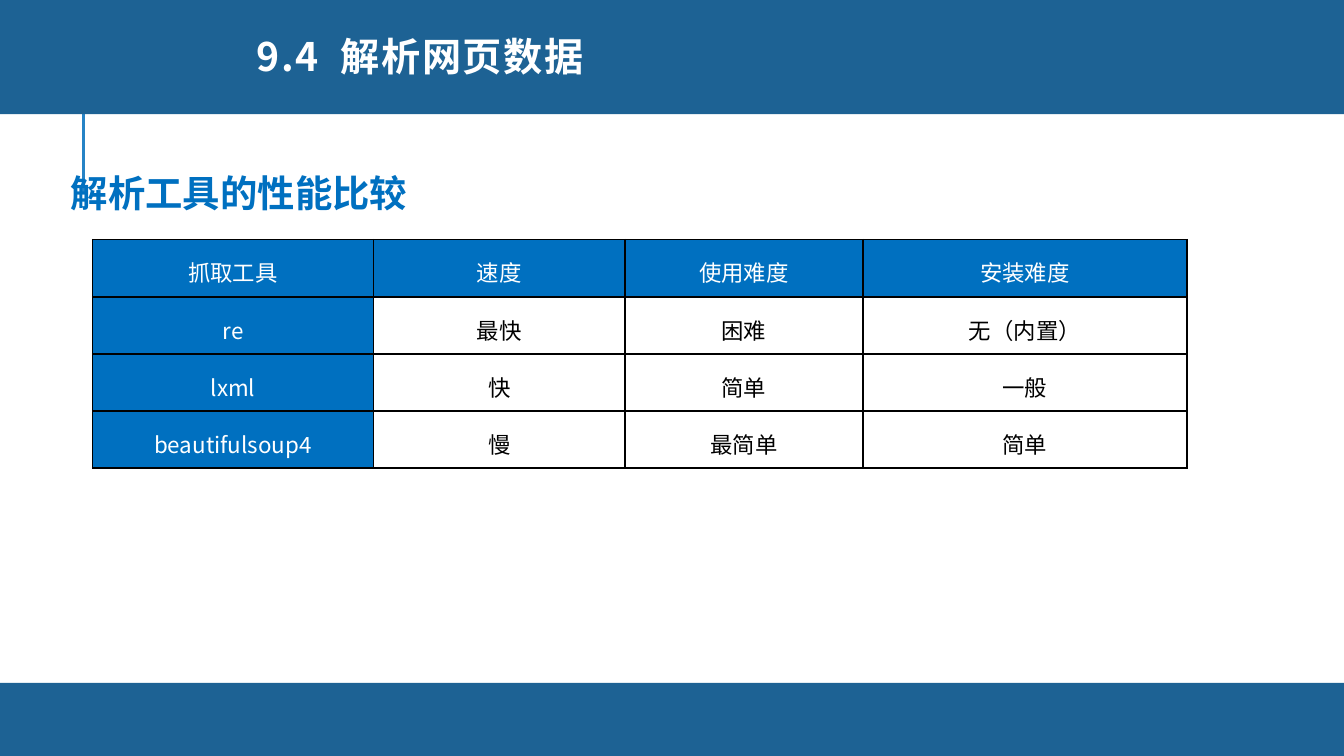
from lxml import etree
from pptx import Presentation
from pptx.dml.color import RGBColor
from pptx.enum.shapes import MSO_CONNECTOR, MSO_SHAPE
from pptx.enum.text import MSO_ANCHOR, MSO_AUTO_SIZE, PP_ALIGN
from pptx.oxml import parse_xml
from pptx.oxml.ns import nsdecls, qn
from pptx.util import Cm, Pt

STRAIGHT = MSO_CONNECTOR.STRAIGHT
RECT = MSO_SHAPE.RECTANGLE
MIDDLE = MSO_ANCHOR.MIDDLE
NO_FIT = MSO_AUTO_SIZE.NONE
LEFT, CENTER = PP_ALIGN.LEFT, PP_ALIGN.CENTER

FONT = "Noto Sans CJK SC"
BAND, RULE, ACCENT = "1D6294", "2683C6", "0070C0"
WHITE, BLACK = "FFFFFF", "000000"
TITLE_ONLY = 5

TITLE_RUNS = [("9.4", 80), (" ", 630), ("解析网页数据", 80)]  # text, tracking
HEADING = "解析工具的性能比较"
ROWS = [
    ["抓取工具", "速度", "使用难度", "安装难度"],
    ["re", "最快", "困难", "无（内置）"],
    ["lxml", "快", "简单", "一般"],
    ["beautifulsoup4", "慢", "最简单", "简单"],
]
COL_WIDTHS = [5.31, 4.75, 4.5, 6.12]


def rgb(value):
    return RGBColor.from_string(value)


def add_run(p, text, color, **formats):
    r = p.add_run()
    r.text = text
    r.font.color.rgb = rgb(color)
    for name, value in {"name": FONT, **formats}.items():
        setattr(r.font, name, value)
    ea = etree.SubElement(r.font._element, qn("a:ea"))
    ea.set("typeface", FONT)
    return r


def add_band(s, x, y, w, h):
    sp = s.shapes.add_shape(RECT, Cm(x), Cm(y), Cm(w), Cm(h))
    sp.shadow.inherit = False
    sp.fill.solid()
    sp.fill.fore_color.rgb = rgb(BAND)
    sp.line.fill.background()


def add_rule(s, x, top, bottom):
    line = s.shapes.add_connector(STRAIGHT, Cm(x), Cm(bottom), Cm(x), Cm(top))
    line.line.color.rgb = rgb(RULE)
    line.line.width = Pt(1.5)
    etree.SubElement(line._element.spPr, qn("a:effectLst"))


def place_title(s, x, y, w, h):
    sp = s.shapes.title
    sp.left, sp.top, sp.width, sp.height = Cm(x), Cm(y), Cm(w), Cm(h)
    sp._element.getparent().append(sp._element)  # in front of the band
    tf = sp.text_frame
    tf.auto_size, tf.vertical_anchor = NO_FIT, MIDDLE
    p = tf.paragraphs[0]
    p.alignment, p.line_spacing = LEFT, 0.8
    for text, tracking in TITLE_RUNS:
        r = add_run(p, text, WHITE, size=Pt(21), bold=True)
        r.font._element.set("spc", str(tracking))


def add_heading(s, x, y, w, h):
    tf = s.shapes.add_textbox(Cm(x), Cm(y), Cm(w), Cm(h)).text_frame
    tf.word_wrap = True
    p = tf.paragraphs[0]
    p.line_spacing = 1.5
    add_run(p, HEADING, ACCENT, size=Pt(20), bold=True)


def add_borders(cell):
    """Draw 1 pt black lines on all four sides; they precede the fill."""
    tc_pr = cell._tc.get_or_add_tcPr()
    for i, side in enumerate(("lnL", "lnR", "lnT", "lnB")):
        tc_pr.insert(i, parse_xml(
            f'<a:{side} {nsdecls("a")} w="{Pt(1)}"><a:solidFill>'
            f'<a:srgbClr val="{BLACK}"/></a:solidFill></a:{side}>'))


def fill_cell(cell, text, is_header):
    if is_header:
        cell.fill.solid()
        cell.fill.fore_color.rgb = rgb(ACCENT)
    else:
        cell.fill.background()
    add_borders(cell)
    cell.margin_left = cell.margin_right = Cm(0.28)
    cell.margin_top = cell.margin_bottom = 0
    p = cell.text_frame.paragraphs[0]
    p.alignment, p.line_spacing = CENTER, 1.5
    add_run(p, text, WHITE if is_header else BLACK, size=Pt(12), bold=False)


def add_comparison(s, x, y, w, h):
    table = s.shapes.add_table(
        len(ROWS), len(COL_WIDTHS), Cm(x), Cm(y), Cm(w), Cm(h)).table
    table.first_row = table.horz_banding = False
    for column, width in zip(table.columns, COL_WIDTHS):
        column.width = Cm(width)
    for i, row in enumerate(ROWS):
        for j, text in enumerate(row):
            fill_cell(table.cell(i, j), text, is_header=i == 0 or j == 0)


def main():
    prs = Presentation()
    prs.slide_width, prs.slide_height = Cm(25.4), Cm(14.29)
    s = prs.slides.add_slide(prs.slide_layouts[TITLE_ONLY])
    add_rule(s, 1.58, 1.73, 3.63)
    add_band(s, 0, 12.91, 25.4, 1.38)
    add_band(s, 0, -0.08, 25.4, 2.24)
    place_title(s, 4.6, 0.33, 13.11, 1.63)
    add_heading(s, 1.09, 2.67, 15.8, 1.4)
    add_comparison(s, 1.75, 4.53, sum(COL_WIDTHS), 4.32)
    prs.save("out.pptx")


if __name__ == "__main__":
    main()
